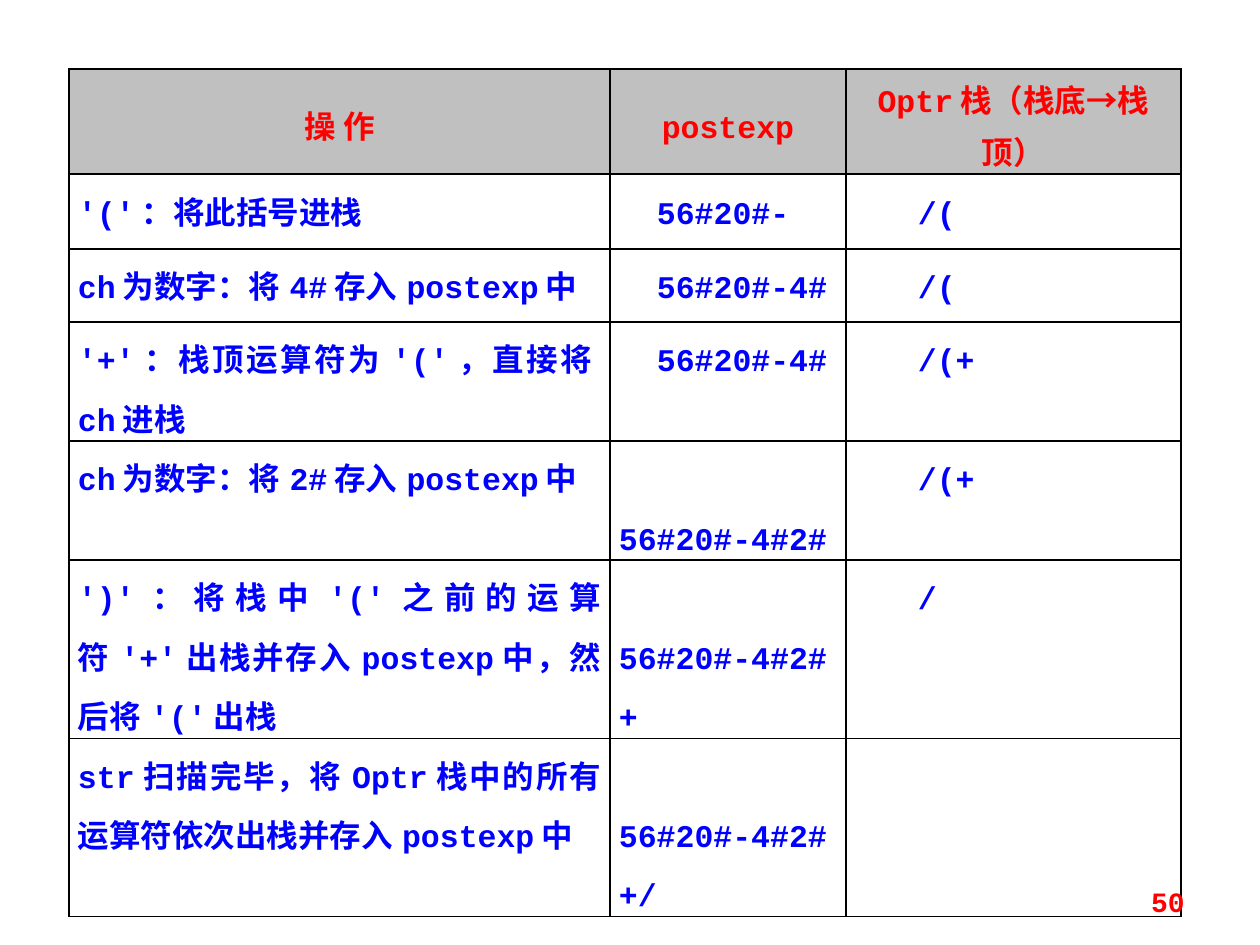
import lxml.etree
import pptx
import pptx.dml.color
import pptx.enum.text
import pptx.oxml.ns
import pptx.util
from dataclasses import dataclass

ALIGN = pptx.enum.text.PP_ALIGN
ANCHOR = pptx.enum.text.MSO_ANCHOR


@dataclass(frozen=True)
class Theme:
    font: str = "Courier New"
    accent: str = "FF0000"
    body: str = "0000FF"
    header_fill: str = "C0C0C0"
    border: str = "000000"
    text_size: int = 18
    number_size: int = 16
    header_spacing: int = 30
    body_spacing: int = 34
    border_width: int = 1


THEME = Theme()

COLUMN_WIDTHS = [541, 236, 335]
ROW_HEIGHTS = [105, 75, 73, 119, 119, 178, 178]
CELL_INSET = 9
OUTPUT_INDENT = 38
STACK_INDENT = 63

HEADINGS = ["操 作", "postexp", "Optr栈（栈底→栈顶）"]
STEPS = [
    ("'('：将此括号进栈", "56#20#-", "/("),
    ("ch为数字：将4#存入postexp中", "56#20#-4#", "/("),
    ("'+'：栈顶运算符为'('，直接将ch进栈", "56#20#-4#", "/(+"),
    ("ch为数字：将2#存入postexp中", "56#20#-4#2#", "/(+"),
    ("')'：将栈中'('之前的运算符'+'出栈并存入postexp中，然后将'('出栈", "56#20#-4#2#+", "/"),
    ("str扫描完毕，将Optr栈中的所有运算符依次出栈并存入postexp中", "56#20#-4#2#+/", ""),
]
LONGEST_INDENTED_OUTPUT = 9


def px(length):
    return pptx.util.Emu(round(length * 914400 / 126))


def rgb(value):
    return pptx.dml.color.RGBColor.from_string(value)


def apply(target, values):
    for name, value in values.items():
        setattr(target, name, value)


def write(para, text, size, color, **para_format):
    apply(para, para_format)
    span = para.add_run()
    span.text = text
    apply(span.font, {"name": THEME.font, "size": pptx.util.Pt(size), "bold": True})
    span.font.color.rgb = rgb(color)


def add_borders(cell):
    properties = cell._tc.get_or_add_tcPr()
    for side in ("lnL", "lnR", "lnT", "lnB"):
        line = lxml.etree.SubElement(properties, pptx.oxml.ns.qn(f"a:{side}"))
        line.set("w", str(pptx.util.Pt(THEME.border_width)))
        fill = lxml.etree.SubElement(line, pptx.oxml.ns.qn("a:solidFill"))
        color = lxml.etree.SubElement(fill, pptx.oxml.ns.qn("a:srgbClr"))
        color.set("val", THEME.border)


def format_cell(cell, anchor, fill=None):
    apply(cell, {
        "margin_left": px(CELL_INSET), "margin_right": px(CELL_INSET),
        "margin_top": 0, "margin_bottom": 0, "vertical_anchor": anchor,
    })
    add_borders(cell)
    if fill:
        cell.fill.solid()
        cell.fill.fore_color.rgb = rgb(fill)
    else:
        cell.fill.background()


def fill_header(cell, text):
    format_cell(cell, ANCHOR.MIDDLE, THEME.header_fill)
    write(cell.text_frame.paragraphs[0], text, THEME.text_size, THEME.accent,
          alignment=ALIGN.CENTER, line_spacing=pptx.util.Pt(THEME.header_spacing))


def fill_body(cell, text, indent=0, level=0, anchor=ANCHOR.TOP):
    format_cell(cell, anchor)
    if not text:
        return
    para = cell.text_frame.paragraphs[0]
    write(para, text, THEME.text_size, THEME.body, alignment=ALIGN.JUSTIFY, level=level,
          line_spacing=pptx.util.Pt(THEME.body_spacing))
    properties = para._p.get_or_add_pPr()
    properties.set("marL", str(px(indent)))
    properties.set("indent", "0")


def add_steps_table(page, left, top):
    """Short outputs are indented; longer ones sit at the foot of their cell."""
    frame = page.shapes.add_table(
        len(ROW_HEIGHTS), len(COLUMN_WIDTHS), px(left), px(top),
        px(sum(COLUMN_WIDTHS)), px(sum(ROW_HEIGHTS)))
    table = frame.table
    apply(table, {"first_row": False, "horz_banding": False})
    for column, width in zip(table.columns, COLUMN_WIDTHS):
        column.width = px(width)
    for row, height in zip(table.rows, ROW_HEIGHTS):
        row.height = px(height)
    for column, heading in enumerate(HEADINGS):
        fill_header(table.cell(0, column), heading)
    for row, (action, output, stack) in enumerate(STEPS, start=1):
        fill_body(table.cell(row, 0), action)
        if len(output) <= LONGEST_INDENTED_OUTPUT:
            fill_body(table.cell(row, 1), output, indent=OUTPUT_INDENT)
        else:
            fill_body(table.cell(row, 1), output, anchor=ANCHOR.BOTTOM)
        fill_body(table.cell(row, 2), stack, indent=STACK_INDENT, level=1)


def add_page_number(page, text, left, top, width, height):
    box = page.shapes.add_textbox(px(left), px(top), px(width), px(height))
    apply(box.text_frame, {"word_wrap": True, "vertical_anchor": ANCHOR.MIDDLE})
    write(box.text_frame.paragraphs[0], text, THEME.number_size, THEME.accent,
          alignment=ALIGN.RIGHT)


def main():
    deck = pptx.Presentation()
    apply(deck, {"slide_width": px(1260), "slide_height": px(945)})
    page = deck.slides.add_slide(deck.slide_layouts.get_by_name("Blank"))
    add_steps_table(page, 69, 69)
    add_page_number(page, "50", 903, 876, 294, 50)
    deck.save("out.pptx")


if __name__ == "__main__":
    main()
